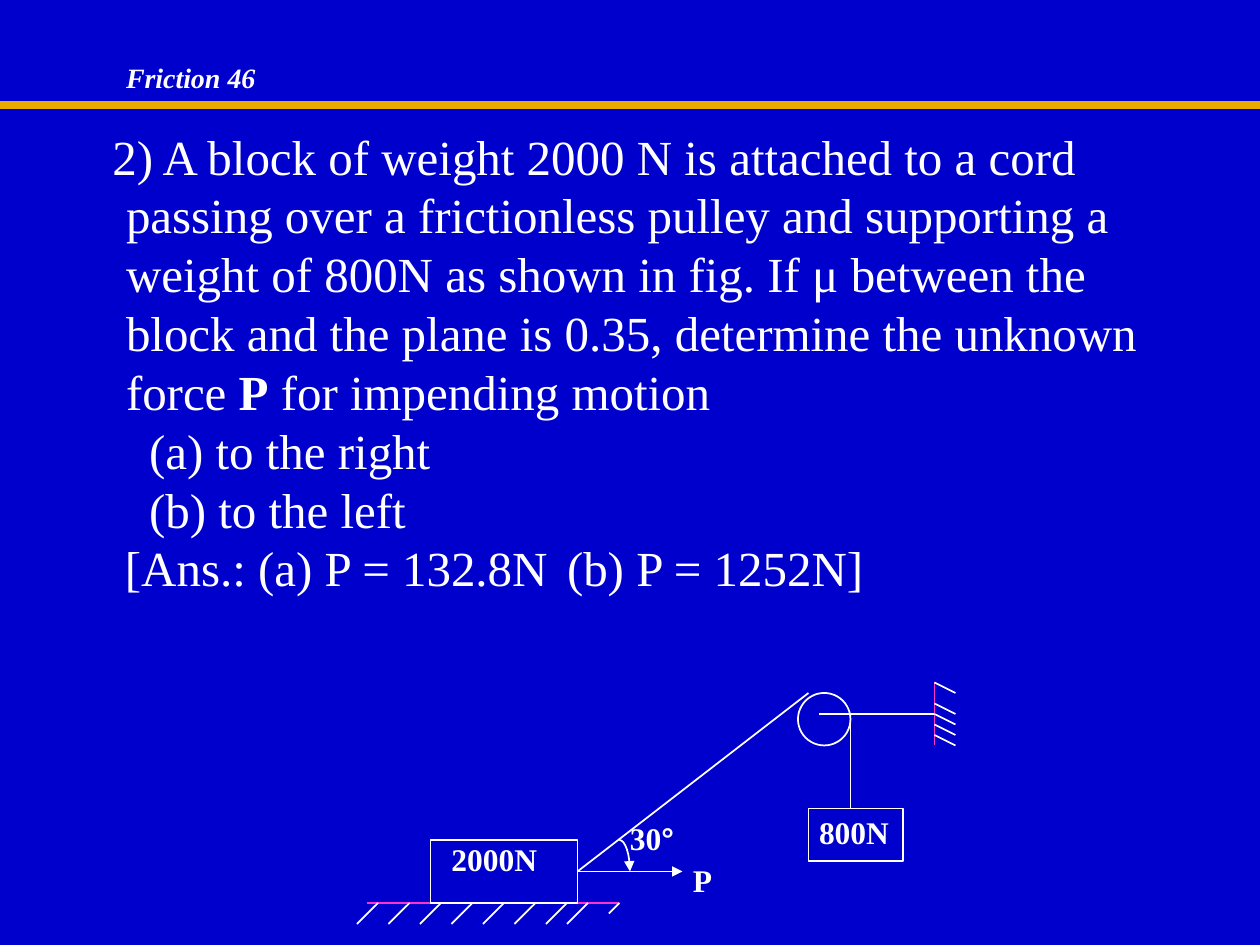
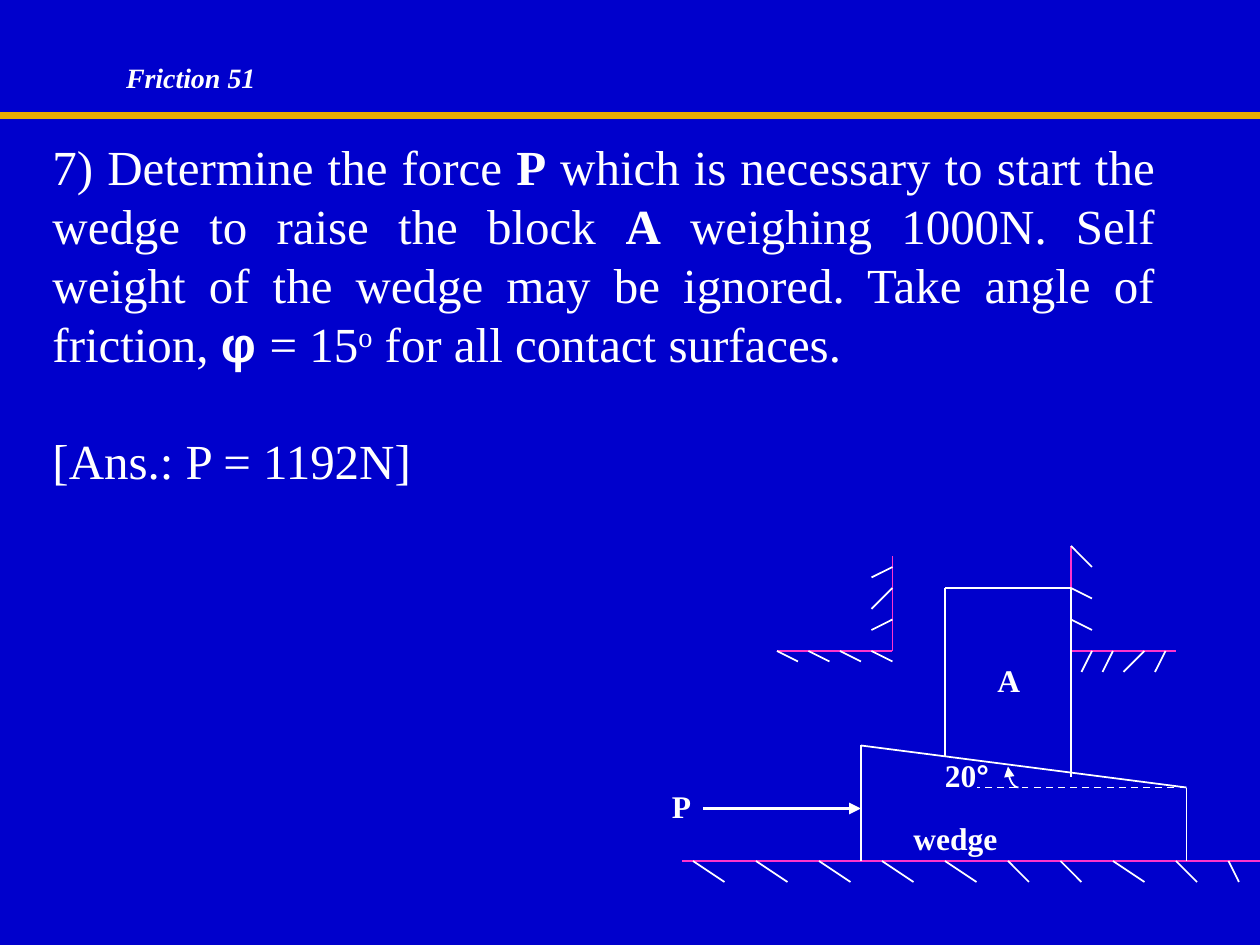
from math import cos, radians, sin

from lxml.etree import SubElement
from pptx import Presentation
from pptx.dml.color import RGBColor
from pptx.enum.dml import MSO_LINE
from pptx.enum.shapes import MSO_CONNECTOR, MSO_SHAPE
from pptx.enum.text import MSO_ANCHOR, MSO_AUTO_SIZE, PP_ALIGN
from pptx.oxml.ns import qn
from pptx.util import Emu, Pt

PX = 7620  # 120 px to the inch
HUES = {"back": "0000CC", "rule": "E8AB00", "ink": "FFFFFF", "wall": "FF33CC"}
SERIF = "Times New Roman"
HEAD = {"name": SERIF, "size": Pt(16), "bold": True, "italic": True}
BODY = {"name": SERIF, "size": Pt(28), "bold": False}
LABEL = {"name": SERIF, "size": Pt(18), "bold": True}
BOLD = {"bold": True}
SANS = {"name": "Arial", "bold": True}
FRAME = {"margin_left": 0, "margin_top": 0, "margin_right": 0, "margin_bottom": 0,
         "word_wrap": True, "auto_size": MSO_AUTO_SIZE.NONE,
         "vertical_anchor": MSO_ANCHOR.TOP}


def apply(item, values):
    for name, value in values.items():
        setattr(item, name, value)


def px(*nums):
    return [Emu(round(n * PX)) for n in nums]


def hue(name):
    return RGBColor.from_string(HUES[name])


class Deck:
    def __init__(self):
        self.prs = Presentation()
        self.prs.slide_width, self.prs.slide_height = px(1200, 900)
        fill = self.prs.slide_master.background.fill
        fill.solid()
        fill.fore_color.rgb = hue("back")
        self.slide = None

    def page(self, title, rule):
        """Start a slide with its title and the gold rule."""
        self.slide = self.prs.slides.add_slide(self.prs.slide_layouts[1])
        self.line((-4, rule), (1200, rule), "rule", 4.5)
        frame = self.place(self.slide.shapes.title, (120, 58, 200, 32))
        self.fill(frame.paragraphs[0], [title], HEAD)

    def place(self, shape, box):
        apply(shape, dict(zip(("left", "top", "width", "height"), px(*box))))
        apply(shape.text_frame, FRAME)
        return shape.text_frame

    def fill(self, para, runs, style, align=PP_ALIGN.LEFT):
        para.alignment = align
        for part in runs:
            text, extra = part if isinstance(part, tuple) else (part, {})
            run = para.add_run()
            run.text = text
            apply(run.font, {**style, **extra})
            run.font.color.rgb = hue("ink")
            if text == "o":
                run.font._element.set("baseline", "30000")

    def body(self, box, paras, margin=0, align=PP_ALIGN.LEFT):
        """Each paragraph is (first-line indent, space before, runs)."""
        frame = self.place(self.slide.placeholders[1], box)
        for i, (indent, gap, runs) in enumerate(paras):
            para = frame.paragraphs[0] if i == 0 else frame.add_paragraph()
            props = para._p.get_or_add_pPr()
            props.set("marL", str(margin * PX))
            props.set("indent", str(indent * PX))
            SubElement(props, qn("a:buNone"))
            if any("\t" in part for part in runs):
                tabs = SubElement(props, qn("a:tabLst"))
                SubElement(tabs, qn("a:tab"), pos=str(496 * PX), algn="l")
            para.space_before = Pt(gap)
            self.fill(para, runs, BODY, align)

    def label(self, x, y, wide, *runs):
        box = (x, y, wide, 36)
        frame = self.place(self.slide.shapes.add_textbox(*px(*box)), box)
        self.fill(frame.paragraphs[0], runs, LABEL)

    def stroke(self, line, color="ink", width=1, arrow=False):
        line.color.rgb = hue(color)
        line.width = Pt(width)
        if arrow:
            SubElement(line._get_or_add_ln(), qn("a:tailEnd"), type="triangle")

    def line(self, start, end, color="ink", width=1, arrow=False):
        link = self.slide.shapes.add_connector(
            MSO_CONNECTOR.STRAIGHT, *px(*start, *end))
        self.stroke(link.line, color, width, arrow)
        SubElement(link._element.spPr, qn("a:effectLst"))
        return link

    def chain(self, *points, color="ink"):
        for start, end in zip(points, points[1:]):
            self.line(start, end, color)

    def ticks(self, points, dx, dy):
        for x, y in points:
            self.line((x, y), (x + dx, y + dy))

    def shape(self, kind, *box):
        item = self.slide.shapes.add_shape(kind, *px(*box))
        item.shadow.inherit = False
        item.fill.background()
        self.stroke(item.line)
        return item

    def arc(self, x, y, rx, ry, first, last):
        """Quarter ellipse round (x, y), ending in an arrowhead."""
        turns = [radians(first + (last - first) * i / 8) for i in range(9)]
        points = [px(x + rx * cos(t), y + ry * sin(t)) for t in turns]
        path = self.slide.shapes.build_freeform(*points[0])
        path.add_line_segments(points[1:], close=False)
        item = path.convert_to_shape()
        item.shadow.inherit = False
        item.fill.background()
        self.stroke(item.line, arrow=True)


def pulley(deck):
    deck.page("Friction 46", 100)
    deck.body((60, 120, 1080, 449), [
        (-13, 0, ["2) A block of weight 2000 N is attached to a cord passing over "
                  "a frictionless pulley and supporting a weight of 800N as shown "
                  "in fig. If μ between the block and the plane is 0.35, "
                  "determine the unknown force ", ("P", BOLD),
                  " for impending motion"]),
        (22, 0, ["(a) to the right"]),
        (22, 0, ["(b) to the left"]),
        (-1, 0, ["[Ans.: (a) P = 132.8N\t(b) P = 1252N]"]),
    ], margin=60)

    # Ground, block and pull
    deck.line((350, 860), (590, 860), "wall")
    deck.ticks([(x, 860) for x in (*range(360, 541, 30), 560)], -20, 20)
    deck.ticks([(590, 860)], -10, 10)
    block = deck.shape(MSO_SHAPE.RECTANGLE, 410, 800, 140, 60)
    pull = deck.line((550, 830), (650, 830), arrow=True)
    cord = deck.line((550, 830), (770, 660))
    for link in (pull, cord):
        link.begin_connect(block, 3)
    deck.arc(590, 830, 10, 20 + 10, -90, 0)

    # Pulley, wall and hanging weight
    deck.shape(MSO_SHAPE.OVAL, 760, 660, 50, 50)
    deck.line((810, 680), (810, 770))
    deck.line((780, 680), (890, 680))
    deck.line((890, 650), (890, 710), "wall")
    deck.ticks([(890, y) for y in (650, *range(670, 701, 10))], 20, 10)
    deck.shape(MSO_SHAPE.RECTANGLE, 770, 770, 90, 50)

    # Labels
    deck.label(430, 800, 110, "2000N")
    deck.label(660, 820, 50, "P")
    deck.label(780, 774, 150, "800N")
    deck.label(600, 780, 70, "30", ("°", SANS))


def wedge(deck):
    deck.page("Friction 51", 110)
    deck.body((50, 130, 1050, 392), [
        (0, 0, ["7) Determine the force ", ("P", BOLD),
                " which is necessary to start the wedge to raise the block ",
                ("A", BOLD), " weighing 1000N. Self weight of the wedge may be "
                "ignored. Take angle of friction, ", ("φ ", SANS), "= 15", "o",
                " for all contact surfaces."]),
        (0, 33.6, ["[Ans.: P = 1192N]"]),
    ], align=PP_ALIGN.JUSTIFY)

    # Guides and floor
    deck.chain((1020, 520), (1020, 620), (1120, 620), color="wall")
    deck.chain((850, 530), (850, 620), (740, 620), color="wall")
    deck.line((650, 820), (1200, 820), "wall")

    # Block A and wedge
    deck.chain((900, 720), (900, 560), (1020, 560), (1020, 740))
    deck.chain((820, 820), (820, 710), (1130, 750), (1130, 820))
    base = deck.line((1130, 750), (930, 750))
    base.line.dash_style = MSO_LINE.DASH
    deck.arc(970, 730, 10, 20, 90, 180)
    deck.line((670, 770), (820, 770), width=2.25, arrow=True)

    # Hatching
    deck.ticks([(850, 540), (850, 590)], -20, 10)
    deck.ticks([(850, 560), (1090, 620)], -20, 20)
    deck.ticks([(x, 620) for x in range(740, 831, 30)], 20, 10)
    deck.ticks([(1020, 560), (1020, 590)], 20, 10)
    deck.ticks([(x, 620) for x in (1040, 1060, 1110)], -10, 20)
    deck.ticks([(x, 820) for x in (*range(660, 901, 60), 1060)], 30, 20)
    deck.ticks([(1020, 520), (960, 820), (1010, 820), (1120, 820)], 20, 20)
    deck.ticks([(1170, 820)], 10, 20)

    # Labels
    deck.label(900, 720, 50, "20", ("°", SANS))
    deck.label(950, 630, 70, "A")
    deck.label(640, 750, 50, "P")
    deck.label(870, 780, 190, "wedge")


def main():
    deck = Deck()
    pulley(deck)
    wedge(deck)
    deck.prs.save("out.pptx")


if __name__ == "__main__":
    main()
